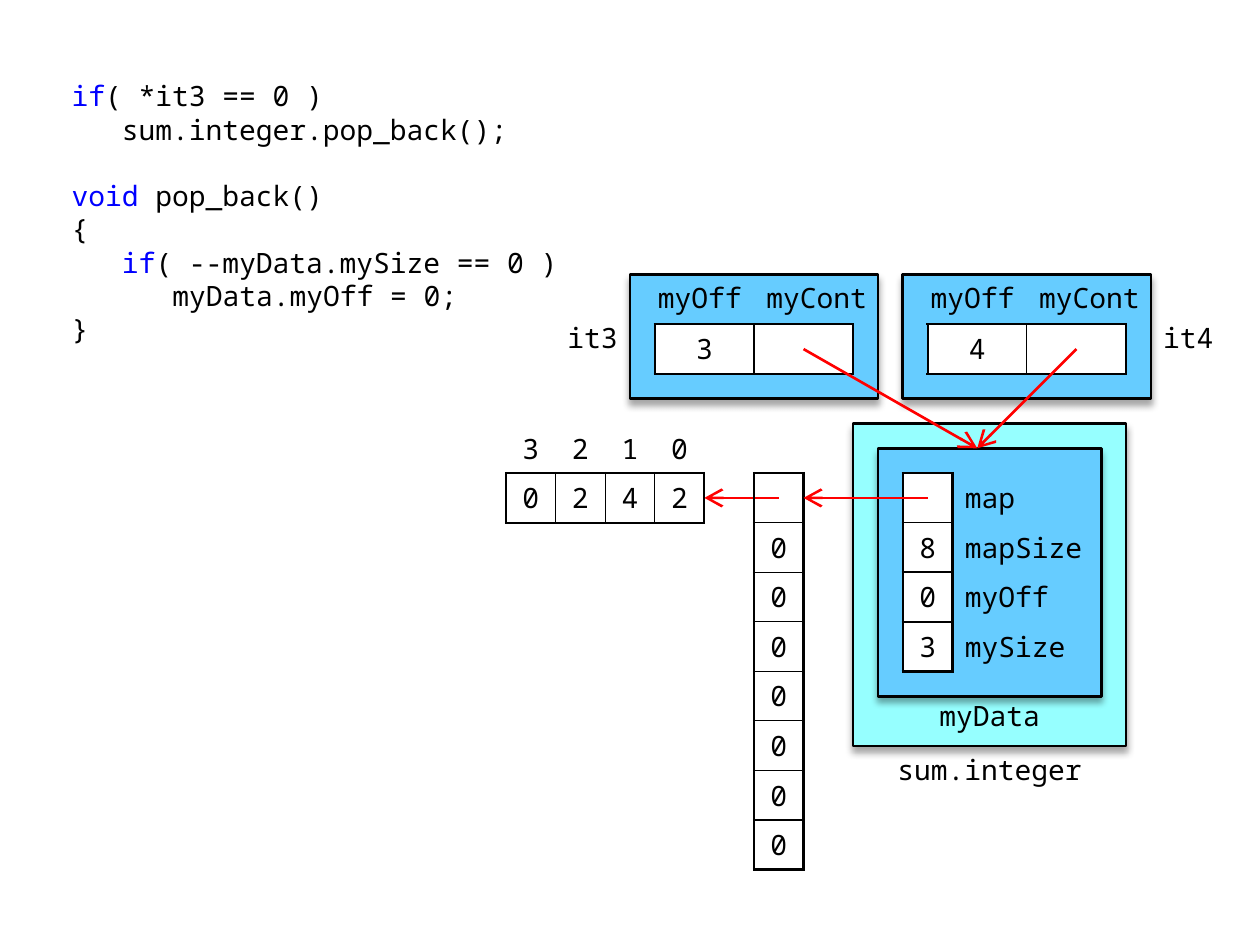
from lxml.etree import SubElement
from pptx import Presentation
from pptx.dml.color import RGBColor
from pptx.enum.shapes import MSO_CONNECTOR, MSO_SHAPE
from pptx.enum.text import MSO_ANCHOR, PP_ALIGN
from pptx.oxml.ns import qn
from pptx.util import Inches, Pt

COLORS = {"text": "000000", "keyword": "0000FF", "arrow": "FF0000",
          "paper": "FFFFFF", "object": "96FFFF", "data": "66CCFF"}
CELL = 1 / 2.54
LEFT, TOP = 5, 2.18
NO_STYLE = "{2D5ABB26-0587-4C30-8999-92F81FD0307C}"


class Diagram:
    """Draws the elements of a memory diagram on one slide, on a grid of cells."""

    font, size, thick = "Noto Sans Mono", Pt(16), Pt(1.5)

    def __init__(self, slide):
        self.slide = slide
        self.shapes = slide.shapes

    def color(self, name):
        return RGBColor.from_string(COLORS[name])

    def point(self, col, row):
        return Inches(LEFT + col * CELL), Inches(TOP + row * CELL)

    def area(self, col, row, width, height):
        return *self.point(col, row), Inches(width * CELL), Inches(height * CELL)

    def run(self, p, text, color="text"):
        r = p.add_run()
        r.text = text
        r.font.name = self.font
        r.font.size = self.size
        r.font.color.rgb = self.color(color)

    def code(self, box, lines):
        tf = self.shapes.add_textbox(*map(Inches, box)).text_frame
        tf.word_wrap = True
        for i, (indent, gap, runs) in enumerate(lines):
            p = tf.paragraphs[0] if i == 0 else tf.add_paragraph()
            p.line_spacing = Pt(19)
            p.space_before = Pt(19 * gap)
            p._p.get_or_add_pPr().set("marL", str(Inches(0.4 * indent)))
            for text, color in runs:
                self.run(p, text, color)

    def label(self, text, box, align=PP_ALIGN.LEFT, anchor=MSO_ANCHOR.TOP, top=0.05):
        tf = self.shapes.add_textbox(*self.area(*box)).text_frame
        tf.word_wrap = True
        tf.vertical_anchor = anchor
        tf.margin_left = Inches(0.1 if align == PP_ALIGN.LEFT else 0)
        tf.margin_right = Inches(0.1 if align == PP_ALIGN.RIGHT else 0)
        tf.margin_top, tf.margin_bottom = Inches(top), Inches(0.04)
        p = tf.paragraphs[0]
        p.alignment = align
        self.run(p, text)

    def block(self, box, fill):
        sp = self.shapes.add_shape(MSO_SHAPE.FLOWCHART_PROCESS, *self.area(*box))
        sp.fill.solid()
        sp.fill.fore_color.rgb = self.color(fill)
        sp.line.color.rgb = self.color("text")
        sp.line.width = self.thick
        sp.shadow.inherit = False
        effects = sp._element.spPr.find(qn("a:effectLst"))
        shadow = SubElement(effects, qn("a:outerShdw"), blurRad=str(Pt(4)),
                            dist=str(Pt(3)), dir="5400000", rotWithShape="0")
        rgb = SubElement(shadow, qn("a:srgbClr"), val=COLORS["text"])
        SubElement(rgb, qn("a:alpha"), val="35000")

    def border(self, cell, sides):
        tcPr = cell._tc.get_or_add_tcPr()
        for side, width in zip("LRTB", sides):
            ln = SubElement(tcPr, qn(f"a:ln{side}"), w=str(width))
            fill = SubElement(ln, qn("a:solidFill"))
            SubElement(fill, qn("a:srgbClr"), val=COLORS["text"])

    def table(self, col, row, widths, rows, framed_rows=None, framed_cols=None,
              inner=0.75, filled=True):
        framed_rows = framed_rows or range(len(rows))
        framed_cols = framed_cols or range(len(widths))
        box = self.area(col, row, sum(widths), len(rows))
        frame = self.shapes.add_table(len(rows), len(widths), *box)
        tbl = frame.table
        tbl.first_row = tbl.horz_banding = False
        tbl._tbl.tblPr.find(qn("a:tableStyleId")).text = NO_STYLE
        for column, width in zip(tbl.columns, widths):
            column.width = Inches(width * CELL)
        for i, texts in enumerate(rows):
            for j, text in enumerate(texts):
                cell = tbl.cell(i, j)
                framed = i in framed_rows and j in framed_cols
                cell.vertical_anchor = MSO_ANCHOR.MIDDLE
                cell.margin_top = cell.margin_bottom = Inches(0.04)
                centred = framed or len(text) == 1
                cell.margin_left = cell.margin_right = Inches(0.04 if centred else 0.1)
                if framed:
                    edges = (j == framed_cols[0], j == framed_cols[-1],
                             i == framed_rows[0], i == framed_rows[-1])
                    self.border(cell, [self.thick if e else Pt(inner) for e in edges])
                if framed and filled:
                    cell.fill.solid()
                    cell.fill.fore_color.rgb = self.color("paper")
                else:
                    cell.fill.background()
                p = cell.text_frame.paragraphs[0]
                p.alignment = PP_ALIGN.CENTER if centred else PP_ALIGN.LEFT
                if text:
                    self.run(p, text)

    def arrow(self, start, end):
        line = self.shapes.add_connector(
            MSO_CONNECTOR.STRAIGHT, *self.point(*start), *self.point(*end))
        line.line.color.rgb = self.color("arrow")
        line.line.width = self.thick
        SubElement(line.line._get_or_add_ln(), qn("a:tailEnd"),
                   type="arrow", w="lg", len="lg")
        SubElement(line._element.spPr, qn("a:effectLst"))


def main():
    prs = Presentation()
    prs.slide_width, prs.slide_height = Inches(10), Inches(7.5)
    d = Diagram(prs.slides.add_slide(prs.slide_layouts[6]))

    d.code((0.47, 0.58, 4.13, 2.17), [
        (0, 0, [("if", "keyword"), ("( *it3 == 0 )", "text")]),
        (1, 0, [("sum.integer.pop_back();", "text")]),
        (0, 1, [("void ", "keyword"), ("pop_back()", "text")]),
        (0, 0, [("{", "text")]),
        (1, 0, [("if", "keyword"), ("( --myData.mySize == 0 )", "text")]),
        (2, 0, [("myData.myOff = 0;", "text")]),
        (0, 0, [("}", "text")]),
    ])

    d.arrow((3, 4.5), (1.5, 4.5))
    d.label("sum.integer", (5, 9.5, 4.5, 1), PP_ALIGN.CENTER)
    d.table(2.5, 4, [1], [[""]] + [["0"]] * 7, filled=False)
    d.block((4.5, 3, 5.5, 6.5), "object")
    d.table(-2.5, 3, [1] * 4, ["3210", "0242"], framed_rows=range(1, 2))

    for col, offset in ((0, "3"), (5.5, "4")):
        d.block((col, 0, 5, 2.5), "data")
        d.table(col + 0.5, 1, [2, 2], [[offset, ""]])
        d.label("myOff", (col, 0, 2.5, 1), PP_ALIGN.RIGHT)
        d.label("myCont", (col + 2.5, 0, 2.5, 1))
    d.label("it3", (-1.5, 0.5, 1.5, 1.5), PP_ALIGN.RIGHT, MSO_ANCHOR.MIDDLE)
    d.label("it4", (10.5, 0.5, 1.5, 1.5), PP_ALIGN.LEFT, MSO_ANCHOR.MIDDLE)

    d.block((5, 3.5, 4.5, 5), "data")
    d.label("myData", (6, 8.5, 2.5, 1), PP_ALIGN.CENTER, top=0.02)
    members = [["", "map"], ["8", "mapSize"], ["0", "myOff"], ["3", "mySize"]]
    d.table(5.5, 4, [1, 3], members, framed_cols=range(1), inner=1)

    d.arrow((6, 4.5), (3.5, 4.5))
    for col in (3.5, 9):
        d.arrow((col, 1.5), (7, 3.5))

    prs.save("out.pptx")


if __name__ == "__main__":
    main()
